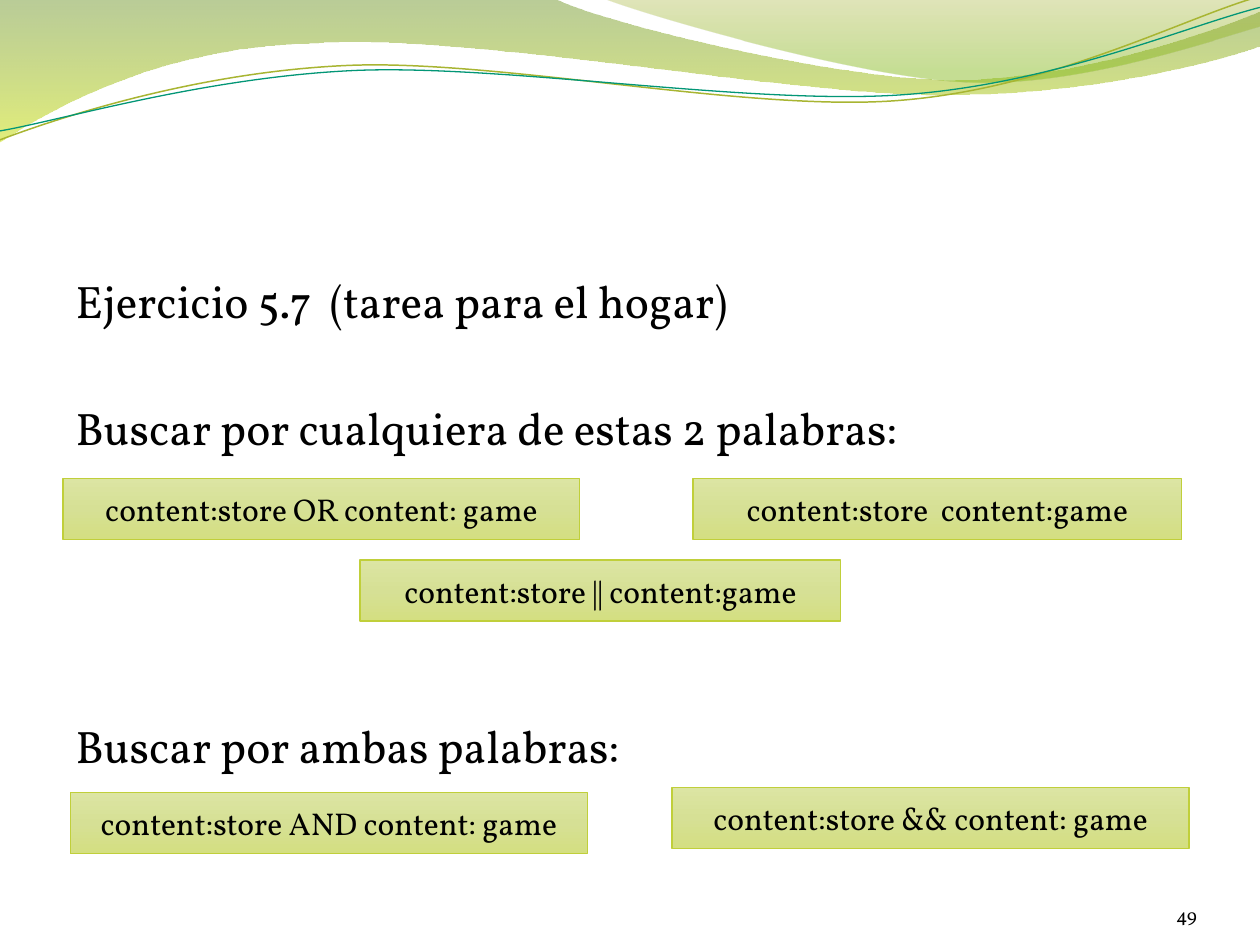
from lxml import etree
from pptx import Presentation
from pptx.dml.color import RGBColor
from pptx.enum.shapes import MSO_SHAPE
from pptx.enum.text import MSO_ANCHOR, MSO_AUTO_SIZE, PP_ALIGN
from pptx.oxml.ns import qn
from pptx.util import Cm, Pt

RECTANGLE = MSO_SHAPE.RECTANGLE
MIDDLE, BOTTOM = MSO_ANCHOR.MIDDLE, MSO_ANCHOR.BOTTOM
CENTER, RIGHT = PP_ALIGN.CENTER, PP_ALIGN.RIGHT
NO_AUTOFIT = MSO_AUTO_SIZE.NONE

FONT = "Vollkorn"
BLACK = RGBColor(0x00, 0x00, 0x00)
LIME = RGBColor(0xC0, 0xCF, 0x3A)
OLIVE = RGBColor(0xA8, 0xB5, 0x32)
TEAL = RGBColor(0x02, 0x96, 0x76)

# Gradient stops: position in percent, colour, opacity in percent
BOX_STOPS = [(0, RGBColor(0xDC, 0xE5, 0xA3), 100),
             (50, RGBColor(0xD6, 0xE0, 0x95), 100),
             (100, RGBColor(0xD4, 0xDF, 0x81), 100)]
LEFT_WAVE_STOPS = [(0, RGBColor(0x66, 0x8F, 0x1B), 45),
                   (100, RGBColor(0xCA, 0xE0, 0x0E), 55)]
RIGHT_WAVE_STOPS = [(0, RGBColor(0x99, 0xA7, 0x19), 30),
                    (80, RGBColor(0x80, 0xB8, 0x14), 45),
                    (100, RGBColor(0x80, 0xB8, 0x14), 45)]

# Outlines in centimetres: a start point, then segments of one point
# (straight line) or three points (Bezier curve)
LEFT_WAVE = [
    [(0, 0)],
    [(11.18, -0.03)],
    [(12.07, 0.43), (16.84, 1.6), (19.25, 1.6)],
    [(21.67, 1.6), (24.33, 0.66), (25.4, 0.23)],
    [(25.43, 0.91)],
    [(24.97, 1.12), (22.07, 1.93), (18.95, 1.91)],
    [(15.8, 1.91), (9.68, 0.71), (6.53, 0.86)],
    [(3.28, 0.91), (1.17, 2.11), (-0.03, 2.87)]]
RIGHT_WAVE = [
    [(12.17, -0.03)],
    [(12.93, 0.28), (17.32, 1.57), (19.51, 1.65)],
    [(21.72, 1.75), (24.41, 0.81), (25.4, 0.53)],
    [(25.4, 0)]]
OLIVE_CURVE = [
    [(0, 2.82)],
    [(1.22, 2.36), (3.99, 1.45), (7.01, 1.32)],
    [(10.03, 1.19), (15.04, 2.26), (18.08, 2.03)],
    [(21.16, 1.8), (23.83, 0.38), (25.32, -0.05)]]
TEAL_CURVE = [
    [(0, 2.64)],
    [(1.19, 2.44), (4.14, 1.55), (7.19, 1.42)],
    [(10.21, 1.3), (15.16, 2.13), (18.21, 1.91)],
    [(21.23, 1.7), (23.9, 0.53), (25.4, 0.15)]]

# Text and space before in points
HEADINGS = [("Ejercicio 5.7  (tarea para el hogar)", 0),
            ("Buscar por cualquiera de estas 2 palabras:", 41.5),
            ("Buscar por ambas palabras:", 150.6)]
# Text, then left, top and width within the group
EITHER_WORD = [("content:store OR content: game", 0, 0, 10.42),
               ("content:store  content:game", 12.7, 0, 9.85),
               ("content:store || content:game", 5.99, 1.64, 9.69)]
BOTH_WORDS = [("content:store AND content: game", 0, 0.1, 10.42),
              ("content:store && content: game", 12.13, 0, 10.42)]
QUERY_HEIGHT = 1.23


def format_text(paragraph, size, alignment=None):
    paragraph.alignment = alignment
    for run in paragraph.runs:
        run.font.name = FONT
        run.font.size = Pt(size)
        run.font.color.rgb = BLACK


def fill_gradient(shape, stops):
    """Fill from top to bottom with any number of stops."""
    shape.fill.gradient()
    shape.fill.gradient_angle = 270
    stop_list = shape._element.spPr.find(qn("a:gradFill")).find(qn("a:gsLst"))
    stop_list.clear()
    for position, color, opacity in stops:
        stop = etree.SubElement(stop_list, qn("a:gs"), pos=str(position * 1000))
        rgb = etree.SubElement(stop, qn("a:srgbClr"), val=str(color))
        if opacity < 100:
            etree.SubElement(rgb, qn("a:alpha"), val=str(opacity * 1000))


def add_outline(slide, left, top, segments, closed):
    """Draw straight segments through all points, then bend the curved ones."""
    points = [(Cm(left + x), Cm(top + y)) for segment in segments for x, y in segment]
    builder = slide.shapes.build_freeform(*points[0])
    builder.add_line_segments(points[1:], close=closed)
    shape = builder.convert_to_shape()
    shape.shadow.inherit = False
    lines = shape._element.spPr.iter(qn("a:lnTo"))
    lines = iter(list(lines))
    for segment in segments[1:]:
        first, *others = [next(lines) for _ in segment]
        if others:
            first.tag = qn("a:cubicBezTo")
            for line in others:
                first.append(line[0])
                line.getparent().remove(line)
    return shape


def add_wave_header(slide, left, top):
    for segments, stops in ((LEFT_WAVE, LEFT_WAVE_STOPS), (RIGHT_WAVE, RIGHT_WAVE_STOPS)):
        wave = add_outline(slide, left, top, segments, True)
        fill_gradient(wave, stops)
        wave.line.fill.background()
    for segments, color, width in ((OLIVE_CURVE, OLIVE, 0.85), (TEAL_CURVE, TEAL, 0.75)):
        curve = add_outline(slide, left, top, segments, False)
        curve.fill.background()
        curve.line.color.rgb = color
        curve.line.width = Pt(width)


def fill_body(body, left, top, width, height):
    body.left, body.top, body.width, body.height = map(Cm, (left, top, width, height))
    text_frame = body.text_frame
    text_frame.auto_size = NO_AUTOFIT
    text_frame.text = "\n".join(text for text, _ in HEADINGS)
    for paragraph, (_, space_before) in zip(text_frame.paragraphs, HEADINGS):
        format_text(paragraph, 26)
        paragraph.line_spacing = Pt(31.1)
        paragraph.space_before = Pt(space_before)
        properties = paragraph._p.get_or_add_pPr()
        properties.set("marL", "0")
        properties.set("indent", "0")
        etree.SubElement(properties, qn("a:buNone"))


def add_queries(slide, left, top, queries):
    for text, x, y, width in queries:
        box = slide.shapes.add_shape(RECTANGLE, Cm(left + x), Cm(top + y),
                                     Cm(width), Cm(QUERY_HEIGHT))
        box.shadow.inherit = False
        fill_gradient(box, BOX_STOPS)
        box.line.color.rgb = LIME
        box.line.width = Pt(0.75)
        box.text_frame.text = text
        box.text_frame.vertical_anchor = MIDDLE
        format_text(box.text_frame.paragraphs[0], 18, CENTER)


def add_page_number(slide, left, top, width, height):
    text_frame = slide.shapes.add_textbox(*map(Cm, (left, top, width, height))).text_frame
    text_frame.word_wrap = True
    text_frame.vertical_anchor = BOTTOM
    text_frame.margin_left = text_frame.margin_right = 0
    text_frame.margin_top = text_frame.margin_bottom = 0
    text_frame.text = "49"
    format_text(text_frame.paragraphs[0], 11, RIGHT)


def main():
    presentation = Presentation()
    presentation.slide_width, presentation.slide_height = Cm(25.4), Cm(19.05)
    slide = presentation.slides.add_slide(presentation.slide_layouts[1])
    title = slide.shapes.title._element
    title.getparent().remove(title)
    add_wave_header(slide, 0, 0)
    fill_body(slide.placeholders[1], 1.27, 5.38, 22.86, 12.19)
    add_page_number(slide, 22.02, 17.65, 2.11, 1.02)
    add_queries(slide, 1.27, 9.65, EITHER_WORD)
    add_queries(slide, 1.42, 15.88, BOTH_WORDS)
    presentation.save("out.pptx")


if __name__ == "__main__":
    main()
